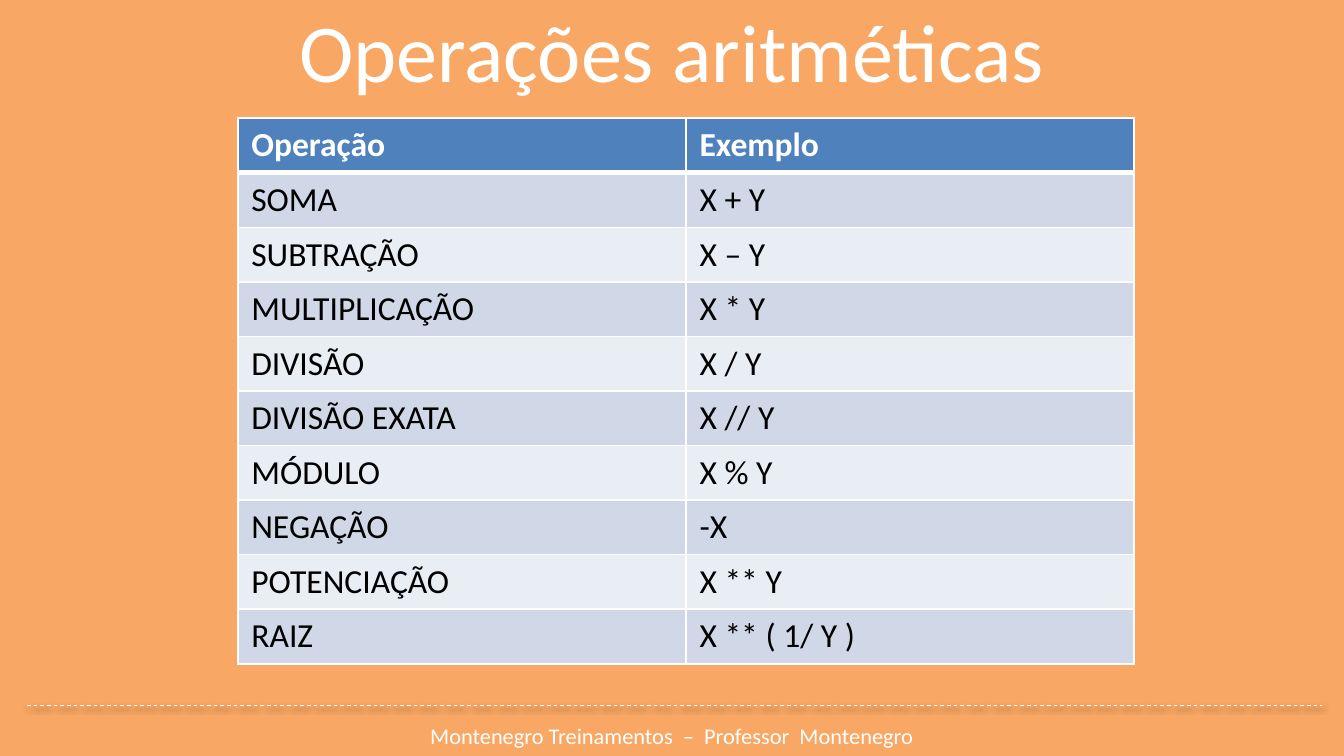
from dataclasses import dataclass

from lxml.etree import SubElement
from pptx import Presentation
from pptx.dml.color import RGBColor
from pptx.enum.dml import MSO_LINE
from pptx.enum.shapes import MSO_CONNECTOR
from pptx.enum.text import MSO_ANCHOR, PP_ALIGN
from pptx.oxml.ns import qn
from pptx.util import Inches, Pt


@dataclass(frozen=True)
class Theme:
    font: str = "Calibri"
    background: str = "F8A764"
    light: str = "FFFFFF"
    dark: str = "000000"
    header: str = "4F81BD"
    bands: tuple = ("D0D8E8", "E9EDF4")
    title_size: int = 44
    table_size: int = 18
    footer_size: int = 12


THEME = Theme()
SLIDE_WIDTH = 10
SLIDE_HEIGHT = SLIDE_WIDTH * 9 / 16

HEADINGS = ("Operação", "Exemplo")
OPERATIONS = (
    ("SOMA", "X + Y"),
    ("SUBTRAÇÃO", "X – Y"),
    ("MULTIPLICAÇÃO", "X * Y"),
    ("DIVISÃO", "X / Y"),
    ("DIVISÃO EXATA", "X // Y"),
    ("MÓDULO", "X % Y"),
    ("NEGAÇÃO", "-X"),
    ("POTENCIAÇÃO", "X ** Y"),
    ("RAIZ", "X ** ( 1/ Y )"),
)


def rgb(color):
    return RGBColor.from_string(color)


def add_run(paragraph, text, size, color, bold=False):
    run = paragraph.add_run()
    run.text = text
    run.font.name = THEME.font
    run.font.size = Pt(size)
    run.font.bold = bold
    run.font.color.rgb = rgb(color)


def add_centred_text(slide, text, size, left, top, width, height):
    box = slide.shapes.add_textbox(Inches(left), Inches(top), Inches(width), Inches(height))
    frame = box.text_frame
    frame.word_wrap = True
    frame.vertical_anchor = MSO_ANCHOR.MIDDLE
    paragraph = frame.paragraphs[0]
    paragraph.alignment = PP_ALIGN.CENTER
    add_run(paragraph, text, size, THEME.light)


def add_footer_rule(slide):
    """Draw the dashed line above the footer, with its soft shadow below."""
    y = Inches(5.25)
    rule = slide.shapes.add_connector(
        MSO_CONNECTOR.STRAIGHT, Inches(0.2), y, Inches(9.84), y)
    rule.line.color.rgb = rgb(THEME.light)
    rule.line.width = Pt(0.5)
    rule.line.dash_style = MSO_LINE.DASH
    effects = SubElement(rule._element.spPr, qn("a:effectLst"))
    shadow = SubElement(effects, qn("a:outerShdw"), blurRad=str(Pt(3.1)),
                        dist=str(Pt(1.6)), dir="5400000", rotWithShape="0")
    color = SubElement(shadow, qn("a:srgbClr"), val=THEME.dark)
    SubElement(color, qn("a:alpha"), val="38000")


def set_borders(cell, top, bottom):
    """Border the cell in the light colour; must come before its fill."""
    properties = cell._tc.get_or_add_tcPr()
    for side, width in (("L", 1), ("R", 1), ("T", top), ("B", bottom)):
        border = SubElement(properties, qn(f"a:ln{side}"), w=str(Pt(width)))
        fill = SubElement(border, qn("a:solidFill"))
        SubElement(fill, qn("a:srgbClr"), val=THEME.light)


def fill_cell(cell, text, row):
    is_header = row == 0
    set_borders(cell, top=3 if row == 1 else 1, bottom=3 if is_header else 1)
    cell.fill.solid()
    cell.fill.fore_color.rgb = rgb(
        THEME.header if is_header else THEME.bands[(row - 1) % 2])
    add_run(cell.text_frame.paragraphs[0], text, THEME.table_size,
            THEME.light if is_header else THEME.dark, bold=is_header)


def add_operations_table(slide):
    rows = (HEADINGS, *OPERATIONS)
    table = slide.shapes.add_table(
        len(rows), len(HEADINGS),
        Inches(1.77), Inches(0.88), Inches(6.67), Inches(4.06)).table
    for row, texts in enumerate(rows):
        for column, text in enumerate(texts):
            fill_cell(table.cell(row, column), text, row)


def main():
    deck = Presentation()
    deck.slide_width, deck.slide_height = Inches(SLIDE_WIDTH), Inches(SLIDE_HEIGHT)
    slide = deck.slides.add_slide(deck.slide_layouts[6])
    slide.background.fill.solid()
    slide.background.fill.fore_color.rgb = rgb(THEME.background)

    add_footer_rule(slide)
    add_centred_text(slide, "Montenegro Treinamentos  –  Professor  Montenegro",
                     THEME.footer_size, 2.52, 5.32, 4.96, 0.3)
    add_centred_text(slide, "Operações aritméticas",
                     THEME.title_size, 0.5, -0.1, 9, 0.94)
    add_operations_table(slide)
    deck.save("out.pptx")


if __name__ == "__main__":
    main()
